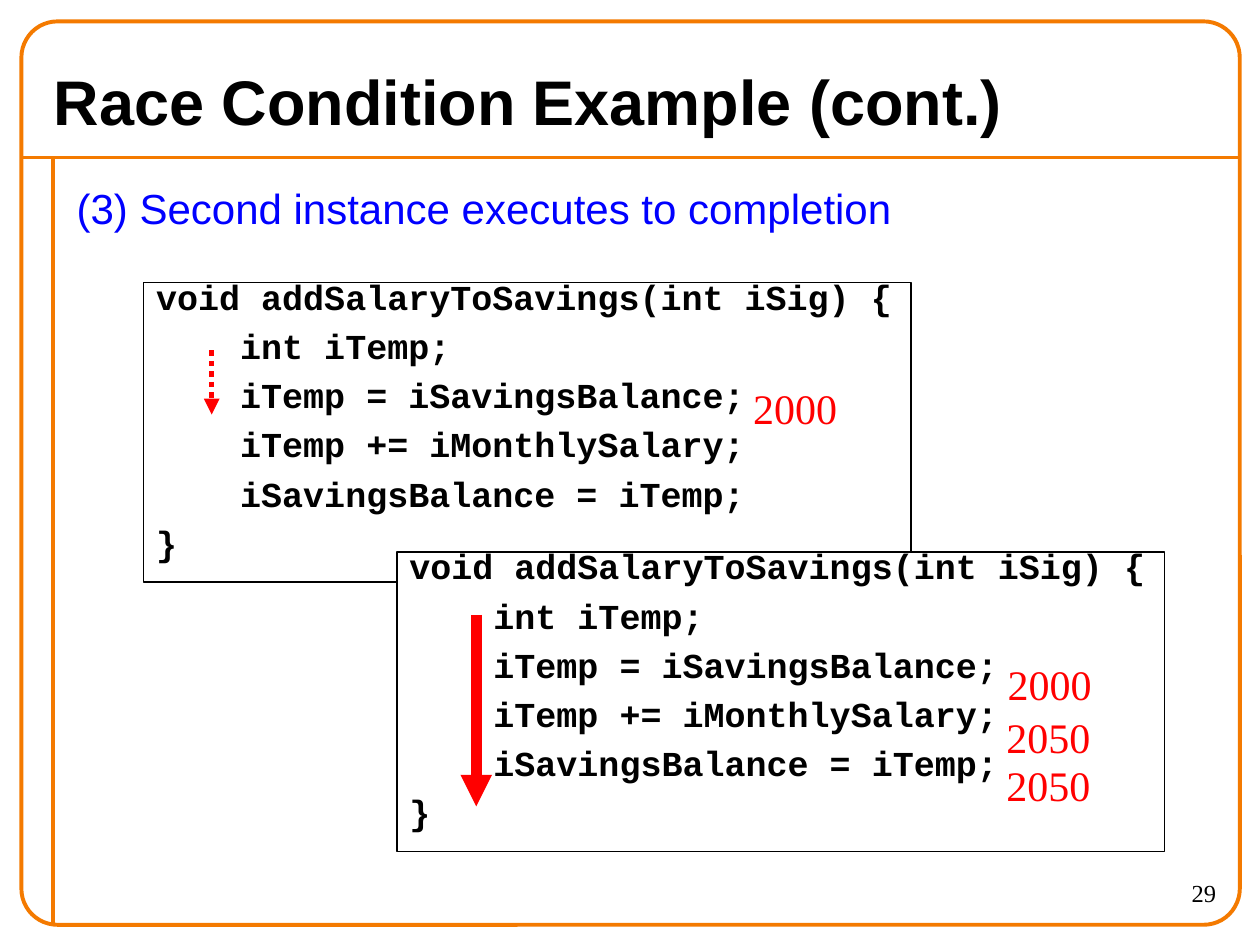
from lxml import etree
from pptx import Presentation
from pptx.dml.color import RGBColor
from pptx.enum.dml import MSO_LINE
from pptx.enum.shapes import MSO_CONNECTOR, MSO_SHAPE
from pptx.enum.text import MSO_ANCHOR, MSO_AUTO_SIZE, PP_ALIGN
from pptx.oxml.ns import qn
from pptx.util import Inches, Pt

ORANGE, RED, BLUE, BLACK, WHITE = "F47A00", "FF0000", "0000FF", "000000", "FFFFFF"
CODE = """void addSalaryToSavings(int iSig) {
    int iTemp;
    iTemp = iSavingsBalance;
    iTemp += iMonthlySalary;
    iSavingsBalance = iTemp;
}"""


def add_line(start, end, color, width):
    line = page.shapes.add_connector(
        MSO_CONNECTOR.STRAIGHT, *(Inches(value) for value in start + end))
    line.line.color.rgb = RGBColor.from_string(color)
    line.line.width = Pt(width)
    etree.SubElement(line._element.spPr, qn("a:effectLst"))
    return line


def add_text(text, place, size, font, color, align=PP_ALIGN.LEFT, bold=False, wrap=False):
    """Add a one-paragraph text box; without wrap, the box grows to fit its text."""
    box = page.shapes.add_textbox(*(Inches(value) for value in place))
    box.text_frame.word_wrap = wrap
    if not wrap:
        box.text_frame.auto_size = MSO_AUTO_SIZE.SHAPE_TO_FIT_TEXT
    para = box.text_frame.paragraphs[0]
    para.text = text
    para.alignment = align
    para.font.size = Pt(size)
    para.font.name = font
    para.font.bold = bold
    para.font.color.rgb = RGBColor.from_string(color)
    return box


deck = Presentation()
deck.slide_width, deck.slide_height = Inches(10), Inches(7.5)
page = deck.slides.add_slide(deck.slide_layouts[6])

# Page frame
add_line((0.17, 1.25), (9.83, 1.25), ORANGE, 2.25)
add_line((0.42, 1.25), (0.42, 7.33), ORANGE, 2.25)
frame = page.shapes.add_shape(
    MSO_SHAPE.ROUNDED_RECTANGLE, Inches(0.17), Inches(0.17), Inches(9.67), Inches(7.17))
frame.adjustments[0] = 0.04
frame.shadow.inherit = False
frame.fill.background()
frame.line.color.rgb = RGBColor.from_string(ORANGE)
frame.line.width = Pt(2.25)

# Headings and page number
add_text("29", (8.75, 6.92, 1, 0.42), 14, "Times New Roman", BLACK, PP_ALIGN.RIGHT, wrap=True)
title = add_text("Race Condition Example (cont.)", (0.33, 0.42, 8.82, 0.75),
                 36, "Arial", BLACK, bold=True, wrap=True)
title.text_frame.vertical_anchor = MSO_ANCHOR.MIDDLE
add_text("(3) Second instance executes to completion", (0.51, 1.4, 6.7, 0.5),
         24, "Arial", BLUE)

# The two running instances of the function
for left, top in ((1.14, 2.24), (3.15, 4.38)):
    code_box = page.shapes.add_shape(
        MSO_SHAPE.RECTANGLE, Inches(left), Inches(top), Inches(6.09), Inches(2.38))
    code_box.shadow.inherit = False
    code_box.fill.solid()
    code_box.fill.fore_color.rgb = RGBColor.from_string(WHITE)
    code_box.line.color.rgb = RGBColor.from_string(BLACK)
    code_box.line.width = Pt(0.75)
    code_frame = code_box.text_frame
    code_frame.vertical_anchor = MSO_ANCHOR.TOP
    for index, code_line in enumerate(CODE.split("\n")):
        para = code_frame.add_paragraph() if index else code_frame.paragraphs[0]
        para.text = code_line
        para.alignment = PP_ALIGN.LEFT
        para.line_spacing = 0.65
        para.space_before = Pt(12.5 if index else 0)
        para.font.size = Pt(20)
        para.font.name = "Courier New"
        para.font.bold = True
        para.font.color.rgb = RGBColor.from_string(BLACK)

# Progress arrows: dotted for the paused instance, solid for the finished one
paused = add_line((1.68, 2.78), (1.68, 3.29), RED, 3)
paused.line.dash_style = MSO_LINE.ROUND_DOT
finished = add_line((3.78, 4.88), (3.78, 6.4), RED, 6)
for arrow in (paused, finished):
    etree.SubElement(arrow.line._get_or_add_ln(), qn("a:tailEnd"), type="triangle")

# Values of iTemp and the balance
for value, left, top in (("2000", 5.86, 2.99), ("2000", 7.88, 5.18),
                         ("2050", 7.87, 5.6), ("2050", 7.87, 5.98)):
    add_text(value, (left, top, 0.9, 0.5), 24, "Times New Roman", RED, PP_ALIGN.CENTER)

deck.save("out.pptx")
